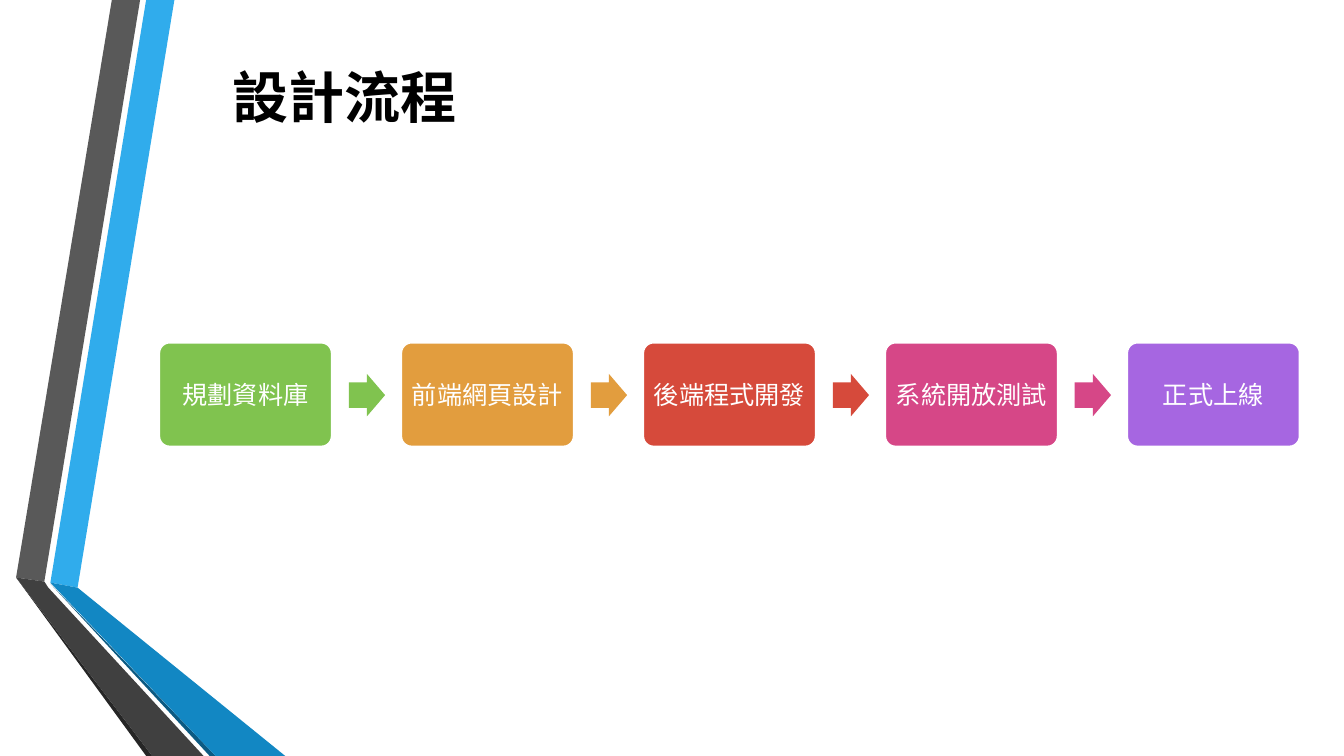
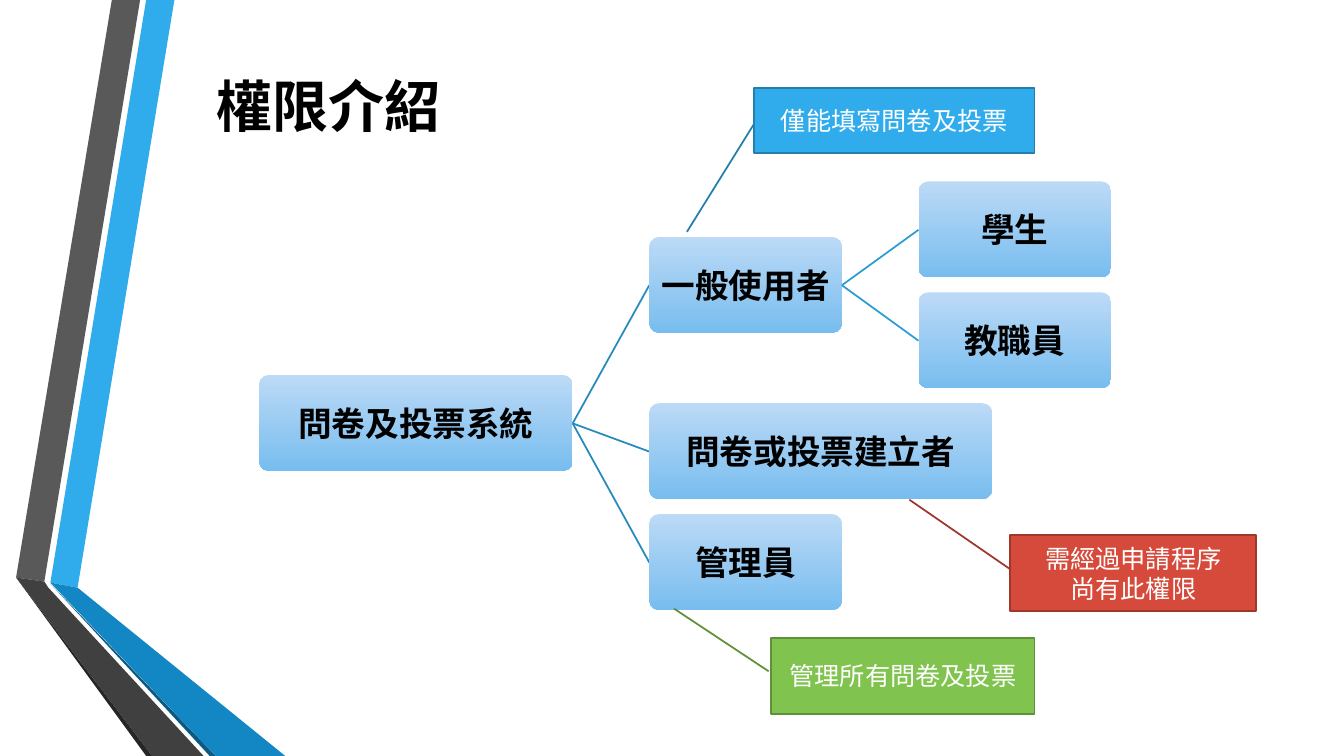
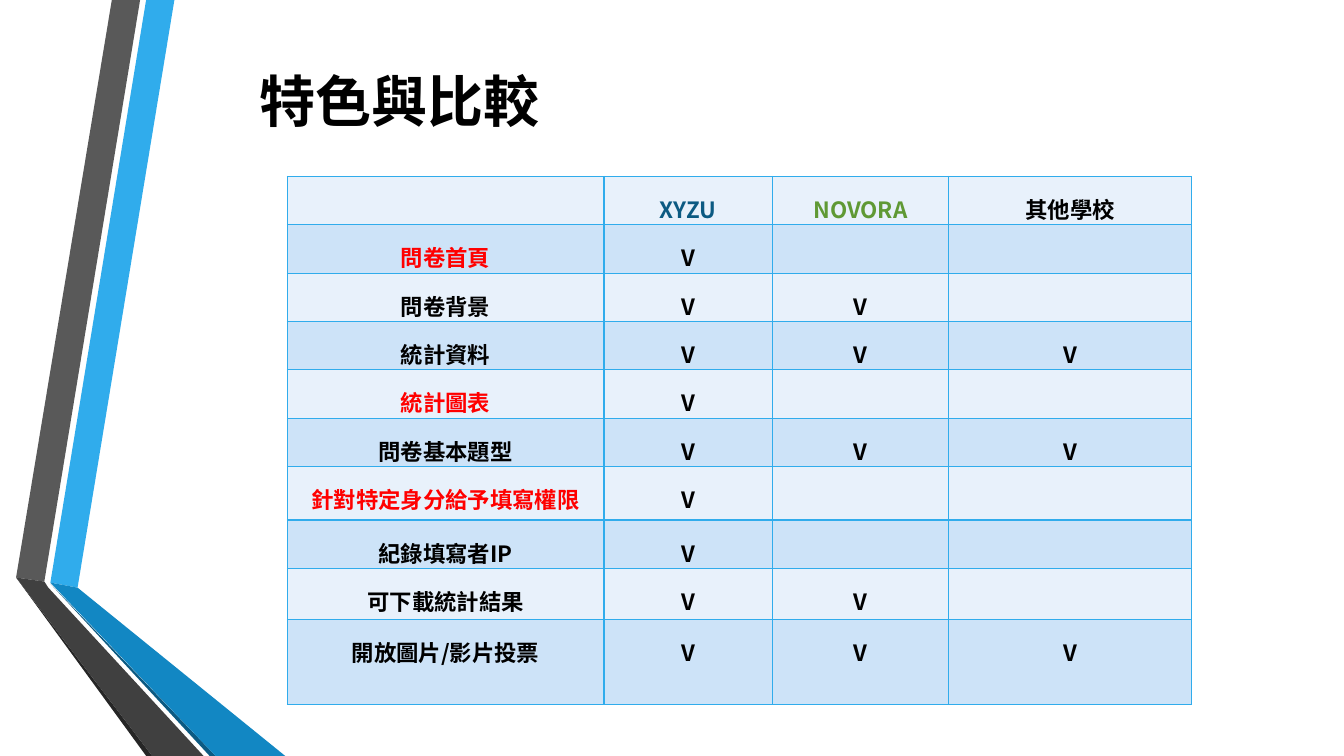
import pptx
import pptx.dml.color
import pptx.enum.shapes
import pptx.enum.text
import pptx.oxml
import pptx.oxml.ns
import pptx.util
from pptx.dml.color import RGBColor
from pptx.enum.shapes import MSO_SHAPE
from pptx.util import Inches

FONT = "Noto Sans CJK SC"
BLACK, WHITE = RGBColor(0, 0, 0), RGBColor(255, 255, 255)
RED = RGBColor(0xFF, 0, 0)
SKY, SKY_EDGE = RGBColor(0x30, 0xAC, 0xEC), RGBColor(0x24, 0x7F, 0xAF)
BLUE, NAVY = RGBColor(0x12, 0x87, 0xC3), RGBColor(0x0C, 0x5A, 0x82)
GRAY, DARK_GRAY = RGBColor(0x59, 0x59, 0x59), RGBColor(0x40, 0x40, 0x40)
CHARCOAL = RGBColor(0x26, 0x26, 0x26)
GREEN, GREEN_EDGE = RGBColor(0x80, 0xC3, 0x4F), RGBColor(0x5F, 0x90, 0x3A)
GREEN_TEXT = RGBColor(0x5F, 0x99, 0x34)
ORANGE = RGBColor(0xE2, 0x9D, 0x3E)
BRICK, BRICK_EDGE = RGBColor(0xD6, 0x4A, 0x3B), RGBColor(0x9E, 0x37, 0x2C)
PINK, PURPLE = RGBColor(0xD6, 0x47, 0x87), RGBColor(0xA6, 0x66, 0xE1)
NODE_TOP, NODE_BOTTOM = RGBColor(0xBC, 0xDA, 0xF6), RGBColor(0x78, 0xBD, 0xEF)
TRUNK_LINE, BRANCH_LINE = RGBColor(0x26, 0x8A, 0xBD), RGBColor(0x2C, 0x9C, 0xD6)
ROW_LIGHT, ROW_DARK = RGBColor(0xE8, 0xF1, 0xFB), RGBColor(0xCD, 0xE3, 0xF8)

RIBBONS = [
    (SKY, [(0.5, 5.78), (0.77, 5.83), (1.73, 0), (1.45, 0)]),
    (GRAY, [(1.39, 0), (1.11, 0), (0.16, 5.73), (0.44, 5.77)]),
    (CHARCOAL, [(0.16, 5.73), (1.45, 7.5), (1.51, 7.5)]),
    (NAVY, [(0.5, 5.79), (2.08, 7.5), (2.14, 7.5)]),
    (BLUE, [(0.5, 5.78), (2.14, 7.5), (2.83, 7.5), (0.77, 5.83)]),
    (DARK_GRAY, [(2.02, 7.5), (0.48, 5.83), (0.44, 5.77), (0.16, 5.73), (1.51, 7.5)]),
]


class Deck:
    def __init__(self):
        self.prs = pptx.Presentation()
        self.prs.slide_width, self.prs.slide_height = Inches(13.33), Inches(7.5)
        self.slide = None

    def new_slide(self, title, left, top, width):
        self.slide = self.prs.slides.add_slide(self.prs.slide_layouts[6])
        for color, points in RIBBONS:
            self.polygon(points, color)
        box = self.slide.shapes.add_textbox(
            Inches(left), Inches(top), Inches(width), Inches(1.51))
        self.set_text(box.text_frame, title, 40, BLACK, bold=True)

    def style_text(self, paragraph, size, color, bold):
        paragraph.alignment = pptx.enum.text.PP_ALIGN.CENTER
        for run in paragraph.runs:
            run.font.size, run.font.bold = pptx.util.Pt(size), bold
            run.font.name = FONT
            run.font.color.rgb = color
            east_asian = pptx.oxml.parse_xml(
                f'<a:ea {pptx.oxml.ns.nsdecls("a")} typeface="{FONT}"/>')
            run.font._element.append(east_asian)

    def set_text(self, frame, text, size, color, bold=False, inset=0.05):
        frame.word_wrap = True
        frame.vertical_anchor = pptx.enum.text.MSO_ANCHOR.MIDDLE
        frame.margin_left = frame.margin_right = Inches(inset)
        frame.margin_top = frame.margin_bottom = Inches(inset)
        frame.text = text
        for paragraph in frame.paragraphs:
            self.style_text(paragraph, size, color, bold)

    def polygon(self, points, color):
        corners = [(Inches(x), Inches(y)) for x, y in points]
        builder = self.slide.shapes.build_freeform(*corners[0])
        builder.add_line_segments(corners[1:], close=True)
        self.paint(builder.convert_to_shape(), color)

    def paint(self, shape, color, edge=None):
        shape.shadow.inherit = False
        shape.fill.solid()
        shape.fill.fore_color.rgb = color
        if edge is None:
            shape.line.fill.background()
        else:
            shape.line.color.rgb = edge
            shape.line.width = pptx.util.Pt(1.25)

    def shape(self, kind, left, top, width, height, color, edge=None, adjust=()):
        shape = self.slide.shapes.add_shape(
            kind, Inches(left), Inches(top), Inches(width), Inches(height))
        for index, value in enumerate(adjust):
            shape.adjustments[index] = value
        self.paint(shape, color, edge)
        return shape

    def step(self, text, left, color):
        box = self.shape(MSO_SHAPE.ROUNDED_RECTANGLE, left, 3.4, 1.71, 1.03,
                         color, WHITE, [0.1])
        self.set_text(box.text_frame, text, 18, WHITE)

    def arrow(self, left, color):
        self.shape(MSO_SHAPE.RIGHT_ARROW, left, 3.71, 0.36, 0.42, color,
                   adjust=[0.6, 0.5])

    def node(self, text, left, top, width):
        box = self.shape(MSO_SHAPE.ROUNDED_RECTANGLE, left, top, width, 0.95,
                         NODE_TOP, adjust=[0.1])
        box.fill.gradient()
        box.fill.gradient_angle = 270
        stops = zip(box.fill.gradient_stops, (0, 1), (NODE_TOP, NODE_BOTTOM))
        for stop, position, color in stops:
            stop.position, stop.color.rgb = position, color
        self.set_text(box.text_frame, text, 24, BLACK, bold=True)

    def link(self, x1, y1, x2, y2, color):
        line = self.slide.shapes.add_connector(
            pptx.enum.shapes.MSO_CONNECTOR.STRAIGHT,
            Inches(x1), Inches(y1), Inches(x2), Inches(y2))
        line.line.color.rgb = color
        line.line.width = pptx.util.Pt(1.25)
        line._element.spPr.append(pptx.oxml.parse_xml(
            f'<a:effectLst {pptx.oxml.ns.nsdecls("a")}/>'))

    def callout(self, text, place, color, edge, pointer):
        box = self.shape(MSO_SHAPE.LINE_CALLOUT_1, *place, color, edge, pointer)
        self.set_text(box.text_frame, text, 18, WHITE)

    def cell(self, cell, text, color, fill):
        cell.margin_left = cell.margin_right = Inches(0.07)
        cell.margin_top = cell.margin_bottom = 0
        paragraph = cell.text_frame.paragraphs[0]
        paragraph.text = text
        paragraph.line_spacing = 1.5
        self.style_text(paragraph, 16, color, True)
        properties = cell._tc.get_or_add_tcPr()
        for side in ("lnL", "lnR", "lnT", "lnB"):
            properties.append(pptx.oxml.parse_xml(
                f'<a:{side} {pptx.oxml.ns.nsdecls("a")} w="12700"><a:solidFill>'
                f'<a:srgbClr val="{SKY}"/></a:solidFill></a:{side}>'))
        cell.fill.solid()
        cell.fill.fore_color.rgb = fill

    def table(self, left, top, widths, heights, rows):
        table = self.slide.shapes.add_table(
            len(rows), len(widths), Inches(left), Inches(top),
            Inches(sum(widths)), Inches(sum(heights))).table
        table.first_row = table.horz_banding = False
        for column, width in zip(table.columns, widths):
            column.width = Inches(width)
        for r, (row, height) in enumerate(zip(rows, heights)):
            table.rows[r].height = Inches(height)
            for c, (text, color) in enumerate(row):
                self.cell(table.cell(r, c), text, color,
                          ROW_DARK if r % 2 else ROW_LIGHT)


def design_process(deck):
    deck.new_slide("設計流程", 1.87, 0.2, 3.1)
    steps = [("規劃資料庫", GREEN), ("前端網頁設計", ORANGE), ("後端程式開發", BRICK),
             ("系統開放測試", PINK), ("正式上線", PURPLE)]
    for index, (text, color) in enumerate(steps):
        left = 1.58 + 2.4 * index
        deck.step(text, left, color)
        if index < len(steps) - 1:
            deck.arrow(left + 1.88, color)


def permissions(deck):
    deck.new_slide("權限介紹", 0.54, 0.29, 5.44)

    # Tree of user roles
    role_left, member_left, half = 6.44, 9.11, 0.48
    root_right, root_middle = 5.68, 4.2
    roles = [("一般使用者", 2.35, 1.91), ("問卷或投票建立者", 4, 3.4), ("管理員", 5.1, 1.91)]
    members = [("學生", 1.8), ("教職員", 2.9)]
    deck.node("問卷及投票系統", 2.57, 3.72, 3.11)
    for text, top, width in roles:
        deck.link(root_right, root_middle, role_left, top + half, TRUNK_LINE)
        deck.node(text, role_left, top, width)
    for text, top in members:
        deck.link(8.35, 2.83, member_left, top + half, BRANCH_LINE)
        deck.node(text, member_left, top, 1.91)

    # Notes on what each role may do
    deck.callout("需經過申請程序\v尚有此權限", (10.02, 5.31, 2.44, 0.75),
                 BRICK, BRICK_EDGE, [0.45, 0, -0.47, -0.41])
    deck.callout("管理所有問卷及投票", (7.65, 6.33, 2.61, 0.75),
                 GREEN, GREEN_EDGE, [0.44, -0.01, -0.39, -0.37])
    deck.callout("僅能填寫問卷及投票", (7.48, 0.87, 2.78, 0.65),
                 SKY, SKY_EDGE, [0.55, 0, 2.2, -0.24])


def comparison(deck):
    deck.new_slide("特色與比較", 0.96, 0.24, 6.01)
    # Feature, its colour, and how many of the systems offer it, from the left
    features = [
        ("問卷首頁", RED, 1), ("問卷背景", BLACK, 2), ("統計資料", BLACK, 3),
        ("統計圖表", RED, 1), ("問卷基本題型", BLACK, 3),
        ("針對特定身分給予填寫權限", RED, 1), ("紀錄填寫者IP", BLACK, 1),
        ("可下載統計結果", BLACK, 2), ("開放圖片/影片投票", BLACK, 3),
    ]
    rows = [[("", BLACK), ("XYZU", NAVY), ("NOVORA", GREEN_TEXT), ("其他學校", BLACK)]]
    for feature, color, count in features:
        marks = [("V" if system < count else "", BLACK) for system in range(3)]
        rows.append([(feature, color)] + marks)
    heights = [0.48] * 6 + [0.53, 0.48, 0.51, 0.84]
    deck.table(2.85, 1.75, [3.14, 1.67, 1.75, 2.41], heights, rows)


def main():
    deck = Deck()
    design_process(deck)
    permissions(deck)
    comparison(deck)
    deck.prs.save("out.pptx")


if __name__ == "__main__":
    main()
